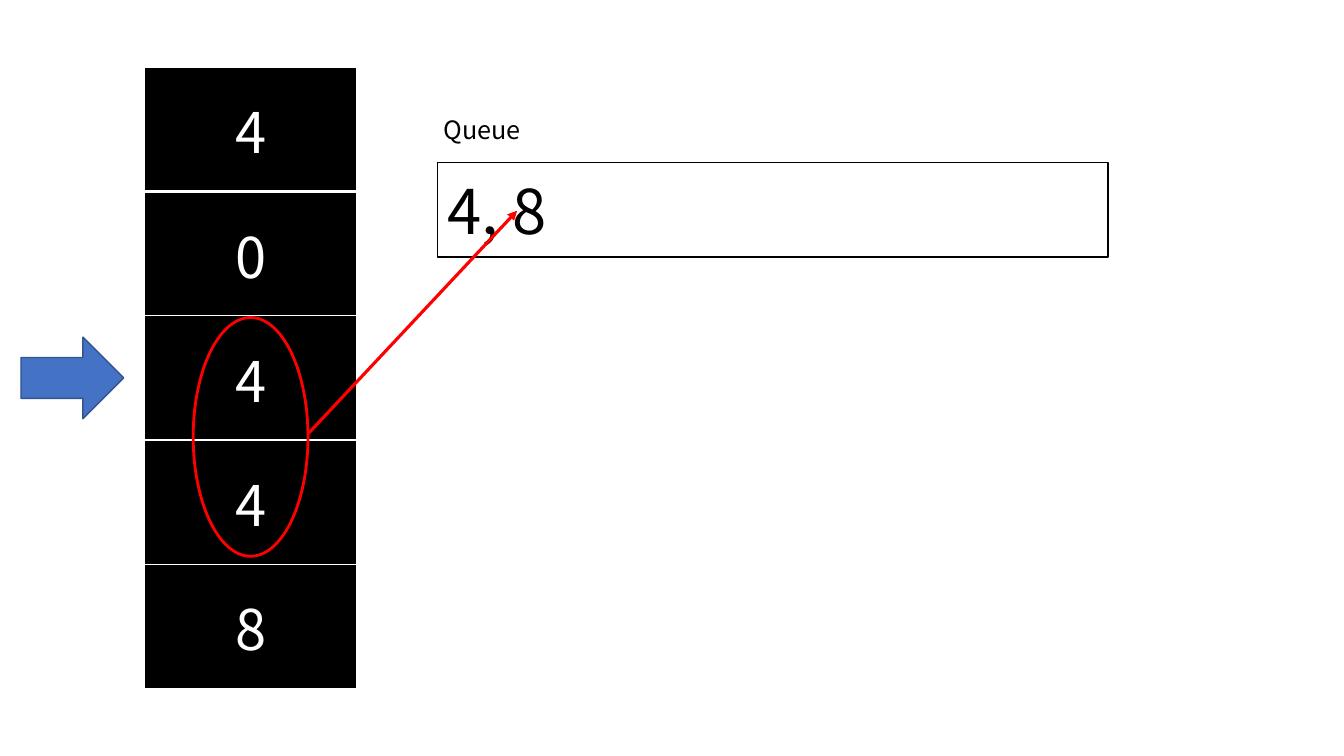
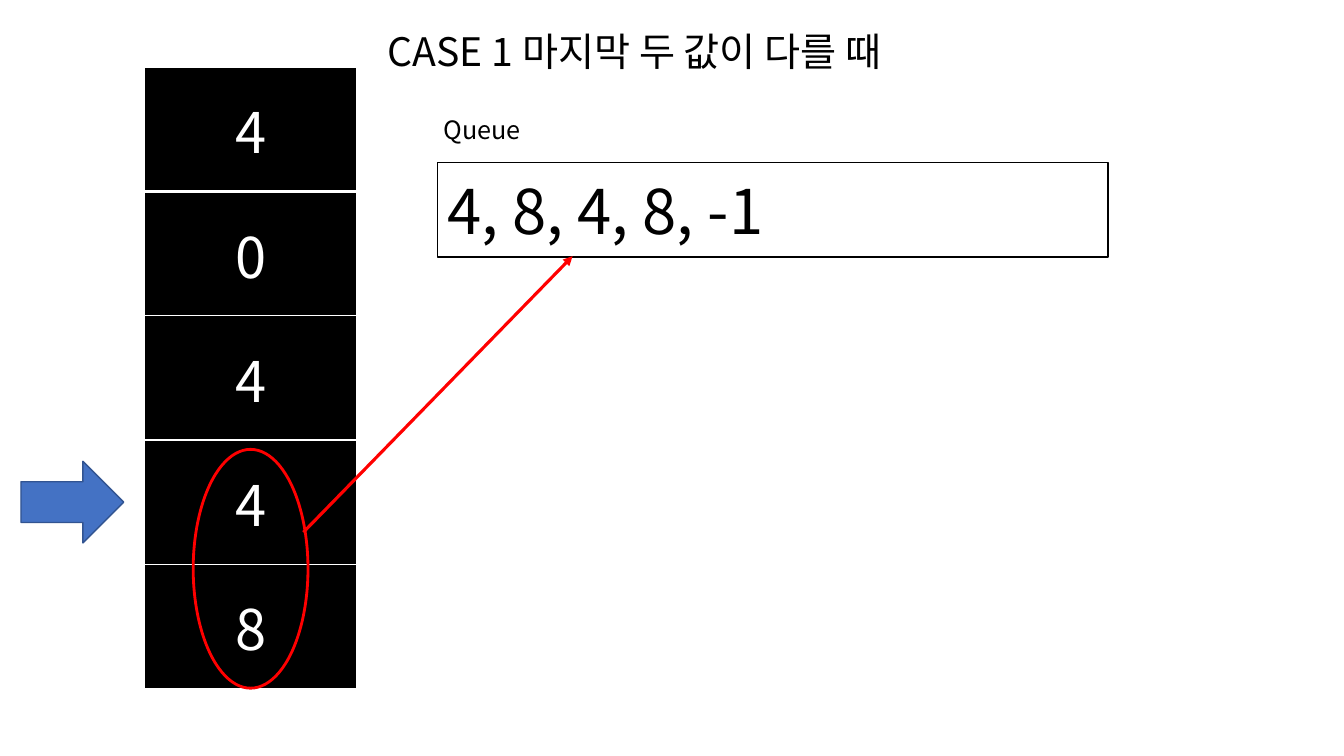
from lxml import etree
from pptx import Presentation
from pptx.dml.color import RGBColor
from pptx.enum.shapes import MSO_CONNECTOR, MSO_SHAPE
from pptx.enum.text import MSO_ANCHOR, MSO_AUTO_SIZE, PP_ALIGN
from pptx.oxml.ns import qn
from pptx.util import Pt

STRAIGHT = MSO_CONNECTOR.STRAIGHT
RECTANGLE, ELLIPSE, RIGHT_ARROW = MSO_SHAPE.RECTANGLE, MSO_SHAPE.OVAL, MSO_SHAPE.RIGHT_ARROW
MIDDLE = MSO_ANCHOR.MIDDLE
FIT_SHAPE = MSO_AUTO_SIZE.SHAPE_TO_FIT_TEXT
LEFT, CENTER = PP_ALIGN.LEFT, PP_ALIGN.CENTER

FONT = "Noto Sans CJK KR"
BLACK, WHITE, RED = "000000", "FFFFFF", "FF0000"
BLUE, DARK_BLUE = "4472C4", "325491"

STACK_VALUES = ["4", "0", "4", "4", "8"]
STACK_LEFT, STACK_TOP, STACK_WIDTH, ROW_HEIGHT = 103, 48.2, 152, 88.7
POINTER_WIDTH, POINTER_HEIGHT = 73.4, 58.3
RING_WIDTH, RING_HEIGHT = 82, 170.6


def rgb(color):
    return RGBColor.from_string(color)


def box(*lengths):
    return [Pt(length) for length in lengths]


class Deck:
    def __init__(self):
        self.presentation = Presentation()
        self.presentation.slide_width = Pt(960)
        self.presentation.slide_height = Pt(540)
        self.slide = None

    def new_slide(self):
        self.slide = self.presentation.slides.add_slide(self.presentation.slide_layouts[6])

    def set_text(self, frame, text, size, color=BLACK, align=LEFT):
        frame.text = text
        paragraph = frame.paragraphs[0]
        paragraph.alignment = align
        for run in paragraph.runs:
            run.font.size = Pt(size)
            run.font.name = FONT
            run.font.color.rgb = rgb(color)
            east_asian = etree.SubElement(run.font._element, qn("a:ea"))
            east_asian.set("typeface", FONT)

    def label(self, text, size, left, top, width, height):
        frame = self.slide.shapes.add_textbox(*box(left, top, width, height)).text_frame
        frame.word_wrap = True
        frame.auto_size = FIT_SHAPE
        self.set_text(frame, text, size)

    def shape(self, kind, left, top, width, height, line, weight, fill=None):
        shape = self.slide.shapes.add_shape(kind, *box(left, top, width, height))
        shape.shadow.inherit = False
        if fill:
            shape.fill.solid()
            shape.fill.fore_color.rgb = rgb(fill)
        else:
            shape.fill.background()
        shape.line.color.rgb = rgb(line)
        shape.line.width = Pt(weight)
        return shape

    def cell_border(self, cell, side, weight):
        line = etree.SubElement(cell._tc.get_or_add_tcPr(), qn(f"a:ln{side}"), w=str(Pt(weight)))
        fill = etree.SubElement(line, qn("a:solidFill"))
        etree.SubElement(fill, qn("a:srgbClr"), val=WHITE)

    def stack(self):
        """Draw the column of values, with a heavier rule below the first."""
        table = self.slide.shapes.add_table(
            len(STACK_VALUES), 1,
            *box(STACK_LEFT, STACK_TOP, STACK_WIDTH, ROW_HEIGHT * len(STACK_VALUES))).table
        table.first_row = table.horz_banding = False
        for index, value in enumerate(STACK_VALUES):
            table.rows[index].height = Pt(ROW_HEIGHT)
            cell = table.cell(index, 0)
            weights = {"L": 1, "R": 1, "T": 3 if index == 1 else 1, "B": 3 if index == 0 else 1}
            for side, weight in weights.items():
                self.cell_border(cell, side, weight)
            cell.fill.solid()
            cell.fill.fore_color.rgb = rgb(BLACK)
            cell.vertical_anchor = MIDDLE
            self.set_text(cell.text_frame, value, 40, WHITE, CENTER)

    def pointer(self, row):
        """Point the block arrow at the middle of a stack row."""
        top = STACK_TOP + (row + 0.5) * ROW_HEIGHT - POINTER_HEIGHT / 2
        self.shape(RIGHT_ARROW, 15, top, POINTER_WIDTH, POINTER_HEIGHT, DARK_BLUE, 1, BLUE)

    def queue(self, content):
        frame = self.shape(RECTANGLE, 312.5, 116, 479, 67.6, BLACK, 1.25).text_frame
        frame.word_wrap = True
        frame.vertical_anchor = MIDDLE
        self.set_text(frame, content, 44)
        self.label("Queue", 18, 309.6, 77.8, 175, 29)

    def ring(self, top):
        """Circle two neighbouring stack values."""
        left = STACK_LEFT + (STACK_WIDTH - RING_WIDTH) / 2
        self.shape(ELLIPSE, left, top, RING_WIDTH, RING_HEIGHT, RED, 2)

    def arrow(self, start, end):
        connector = self.slide.shapes.add_connector(STRAIGHT, *box(*start, *end))
        connector.line.color.rgb = rgb(RED)
        connector.line.width = Pt(2.25)
        etree.SubElement(connector.line._get_or_add_ln(), qn("a:tailEnd"), type="triangle")
        etree.SubElement(connector._element.spPr, qn("a:effectLst"))

    def step(self, row, content, ring_top, start, end):
        """Add a slide showing one step of the comparison."""
        self.new_slide()
        self.stack()
        self.pointer(row)
        self.queue(content)
        self.ring(ring_top)
        self.arrow(start, end)


def main():
    deck = Deck()
    deck.step(2, "4, 8", 226.8, (220.3, 309.6), (369.4, 150.5))
    deck.step(3, "4, 8, 4, 8, -1", 321, (216.7, 380.2), (409, 183))
    deck.label("CASE 1 마지막 두 값이 다를 때", 28, 270, 16, 420, 41)
    deck.presentation.save("out.pptx")


if __name__ == "__main__":
    main()
